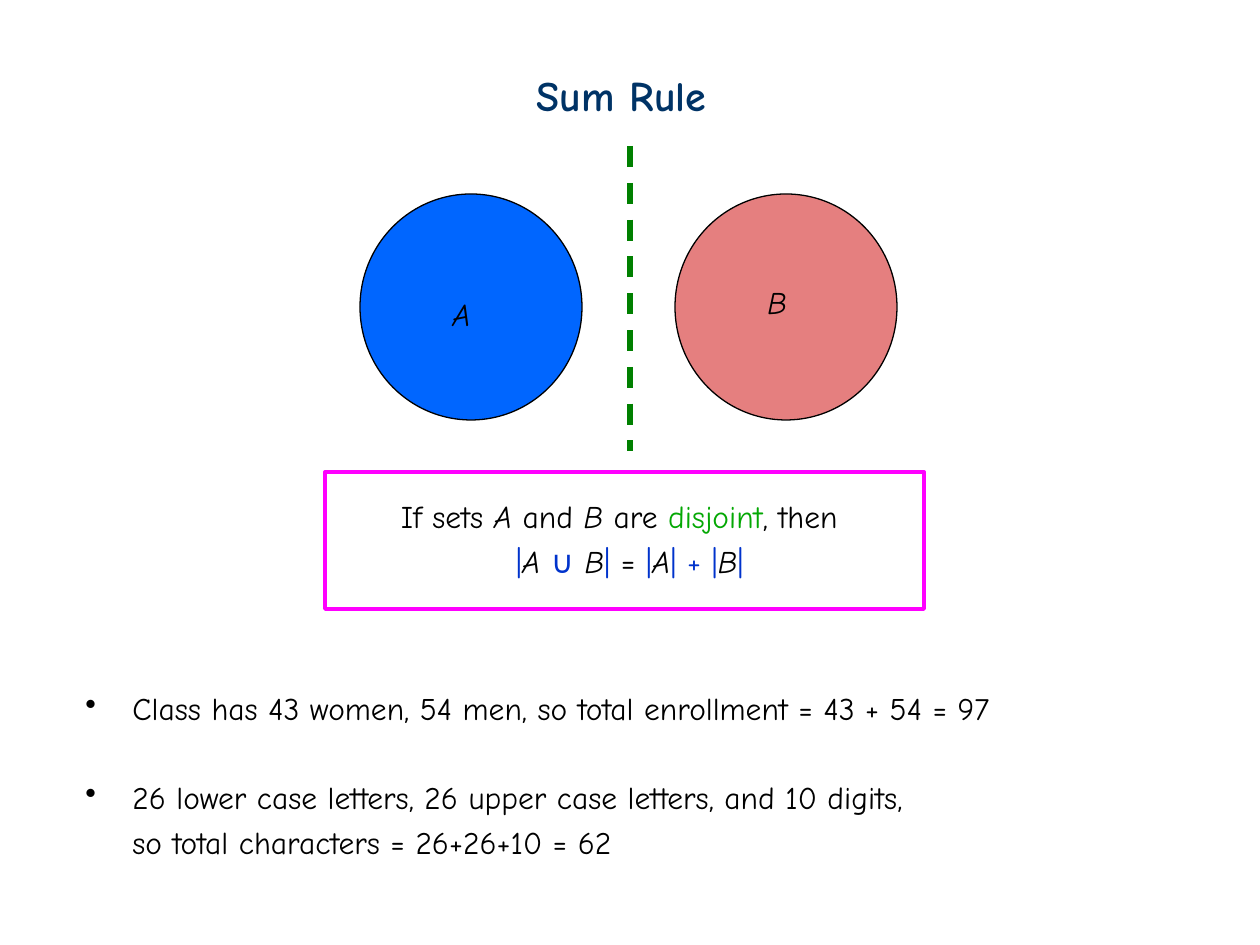
from dataclasses import dataclass

from lxml.etree import SubElement
from pptx import Presentation
from pptx.dml.color import RGBColor
from pptx.enum.dml import MSO_LINE
from pptx.enum.shapes import MSO_CONNECTOR, MSO_SHAPE
from pptx.enum.text import MSO_ANCHOR, MSO_AUTO_SIZE, PP_ALIGN
from pptx.oxml.ns import qn
from pptx.util import Emu, Pt


@dataclass(frozen=True)
class Theme:
    font: str = "Comic Neue"
    title_size: int = 24
    body_size: int = 18
    spacing: float = 4.2
    item_gap: float = 29.2
    title: str = "003366"
    ink: str = "000000"
    term: str = "04A804"
    symbol: str = "0033CC"
    set_a: str = "0066FF"
    set_b: str = "CC0000"
    frame: str = "FF00FF"
    divider: str = "008000"


THEME = Theme()
SLIDE_SIZE = (1260, 945)
INDENT = 47

TITLE = "Sum Rule"
TITLE_BOX = (524, 63, 210, 63)

# name, circle left, fill, opacity in percent, label box
SETS = [
    ("A", 360, THEME.set_a, 100, (440, 289, 48, 50)),
    ("B", 675, THEME.set_b, 50, (755, 277, 45, 50)),
]
CIRCLE_TOP, CIRCLE_WIDTH, CIRCLE_HEIGHT = 194, 222, 226
DIVIDER = (630, 146, 630, 451)
FRAME_BOX = (325, 472, 599, 137)

# Each rule line is a list of (text, colour, italic)
INK, SYMBOL = THEME.ink, THEME.symbol
RULE = [
    [("If sets ", INK, False), ("A", INK, True), (" and ", INK, False),
     ("B", INK, True), (" are ", INK, False), ("disjoint", THEME.term, False),
     (", then ", INK, False)],
    [(" ", INK, False), ("|", SYMBOL, False), ("A ", INK, True),
     ("∪ ", SYMBOL, False), ("B", INK, True), ("|", SYMBOL, False),
     (" = ", INK, False), ("|", SYMBOL, False), ("A", INK, True),
     ("| + |", SYMBOL, False), ("B", INK, True), ("|", SYMBOL, False)],
]
RULE_BOX = (346, 491, 557, 96)

# text, has bullet, space before
EXAMPLES = [
    ("Class has 43 women, 54 men, so total enrollment = 43 + 54 = 97",
     True, THEME.spacing),
    ("26 lower case letters, 26 upper case letters, and 10 digits,",
     True, THEME.item_gap),
    ("so total characters = 26+26+10 = 62", False, THEME.spacing),
]
EXAMPLES_BOX = (73, 683, 1103, 199)


def px(length):
    return Emu(round(length * 914400 / 126))


def scaled(lengths):
    return [px(length) for length in lengths]


def rgb(colour):
    return RGBColor.from_string(colour)


def style(run, colour=THEME.ink, size=THEME.body_size, bold=False, italic=False):
    font = run.font
    font.name, font.size = THEME.font, Pt(size)
    font.bold, font.italic = bold, italic
    font.color.rgb = rgb(colour)


def indent(paragraph, first_line):
    properties = paragraph._p.get_or_add_pPr()
    properties.set("marL", str(px(INDENT)))
    properties.set("indent", str(px(first_line)))
    return properties


def add_text(slide, box, wrap=True):
    frame = slide.shapes.add_textbox(*scaled(box)).text_frame
    frame.word_wrap = wrap
    return frame


def paragraphs(frame, items):
    """Pair each item with its own paragraph, starting from the first one."""
    for index, item in enumerate(items):
        yield (frame.add_paragraph() if index else frame.paragraphs[0]), item


def add_outlined(slide, preset, box, line, width):
    shape = slide.shapes.add_shape(preset, *scaled(box))
    shape.shadow.inherit = False
    shape.fill.background()
    shape.line.color.rgb = rgb(line)
    shape.line.width = Pt(width)
    return shape


def add_title(slide):
    title = slide.shapes.title
    title.left, title.top, title.width, title.height = scaled(TITLE_BOX)
    frame = title.text_frame
    frame.text = TITLE
    frame.word_wrap = False
    frame.auto_size = MSO_AUTO_SIZE.NONE
    frame.vertical_anchor = MSO_ANCHOR.TOP
    frame.paragraphs[0].alignment = PP_ALIGN.LEFT
    style(frame.paragraphs[0].runs[0], THEME.title, THEME.title_size, bold=True)


def add_set(slide, name, left, colour, opacity, label_box):
    circle = add_outlined(slide, MSO_SHAPE.OVAL,
                          (left, CIRCLE_TOP, CIRCLE_WIDTH, CIRCLE_HEIGHT),
                          THEME.ink, 0.75)
    circle.fill.solid()
    circle.fill.fore_color.rgb = rgb(colour)
    if opacity < 100:
        fill_colour = circle._element.spPr.find(qn("a:solidFill"))[0]
        SubElement(fill_colour, qn("a:alpha")).set("val", str(opacity * 1000))
    label = add_text(slide, label_box, wrap=False)
    label.text = name
    style(label.paragraphs[0].runs[0], italic=True)


def add_divider(slide):
    divider = slide.shapes.add_connector(MSO_CONNECTOR.STRAIGHT, *scaled(DIVIDER))
    divider.line.color.rgb = rgb(THEME.divider)
    divider.line.width = Pt(3)
    divider.line.dash_style = MSO_LINE.DASH
    SubElement(divider._element.spPr, qn("a:effectLst"))


def add_rule(slide):
    for paragraph, parts in paragraphs(add_text(slide, RULE_BOX), RULE):
        paragraph.alignment = PP_ALIGN.CENTER
        paragraph.space_before = Pt(THEME.spacing)
        indent(paragraph, -INDENT)
        for text, colour, italic in parts:
            run = paragraph.add_run()
            run.text = text
            style(run, colour, italic=italic)


def add_examples(slide):
    frame = add_text(slide, EXAMPLES_BOX)
    for paragraph, (text, bullet, space) in paragraphs(frame, EXAMPLES):
        paragraph.text = text
        paragraph.space_before = Pt(space)
        style(paragraph.runs[0])
        properties = indent(paragraph, -INDENT if bullet else 0)
        if bullet:
            SubElement(properties, qn("a:buChar")).set("char", "•")


def main():
    deck = Presentation()
    deck.slide_width, deck.slide_height = scaled(SLIDE_SIZE)
    slide = deck.slides.add_slide(deck.slide_layouts[5])
    add_title(slide)
    add_rule(slide)
    for member in SETS:
        add_set(slide, *member)
    add_outlined(slide, MSO_SHAPE.RECTANGLE, FRAME_BOX, THEME.frame, 2.25)
    add_divider(slide)
    add_examples(slide)
    deck.save("out.pptx")


if __name__ == "__main__":
    main()
